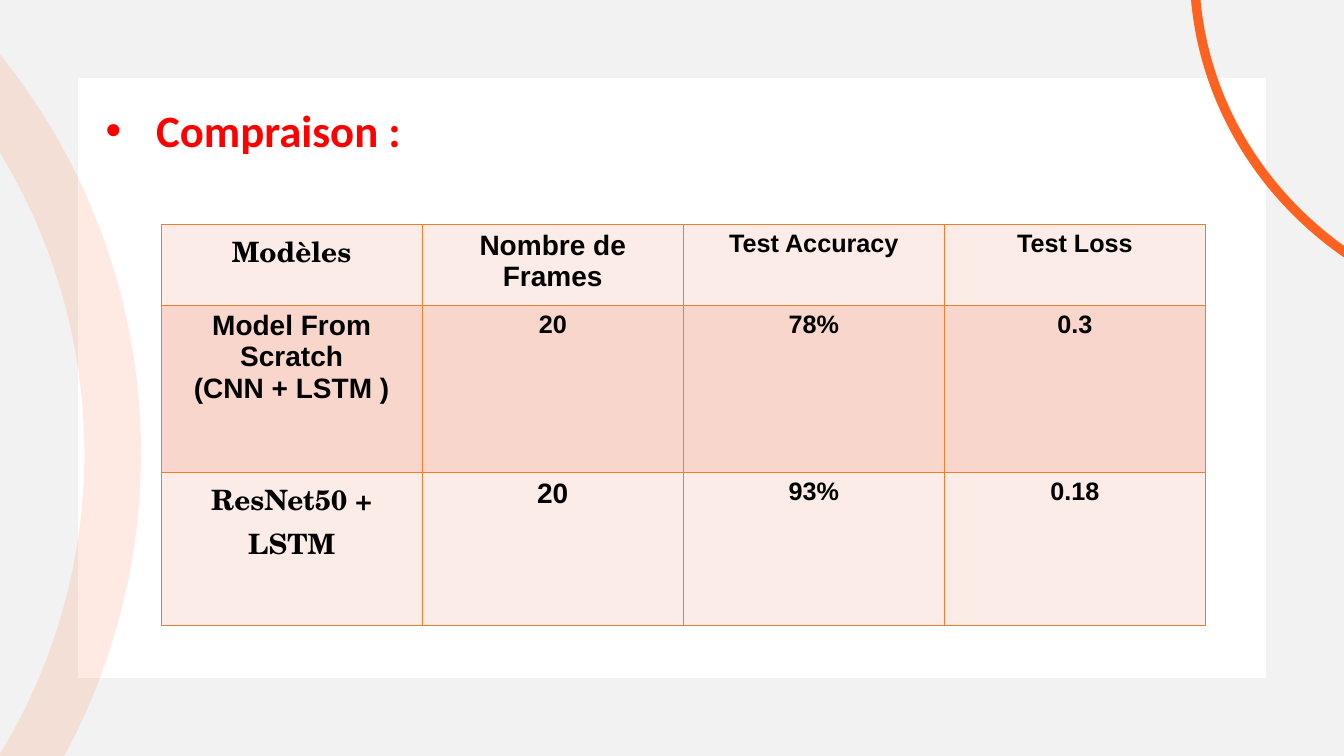
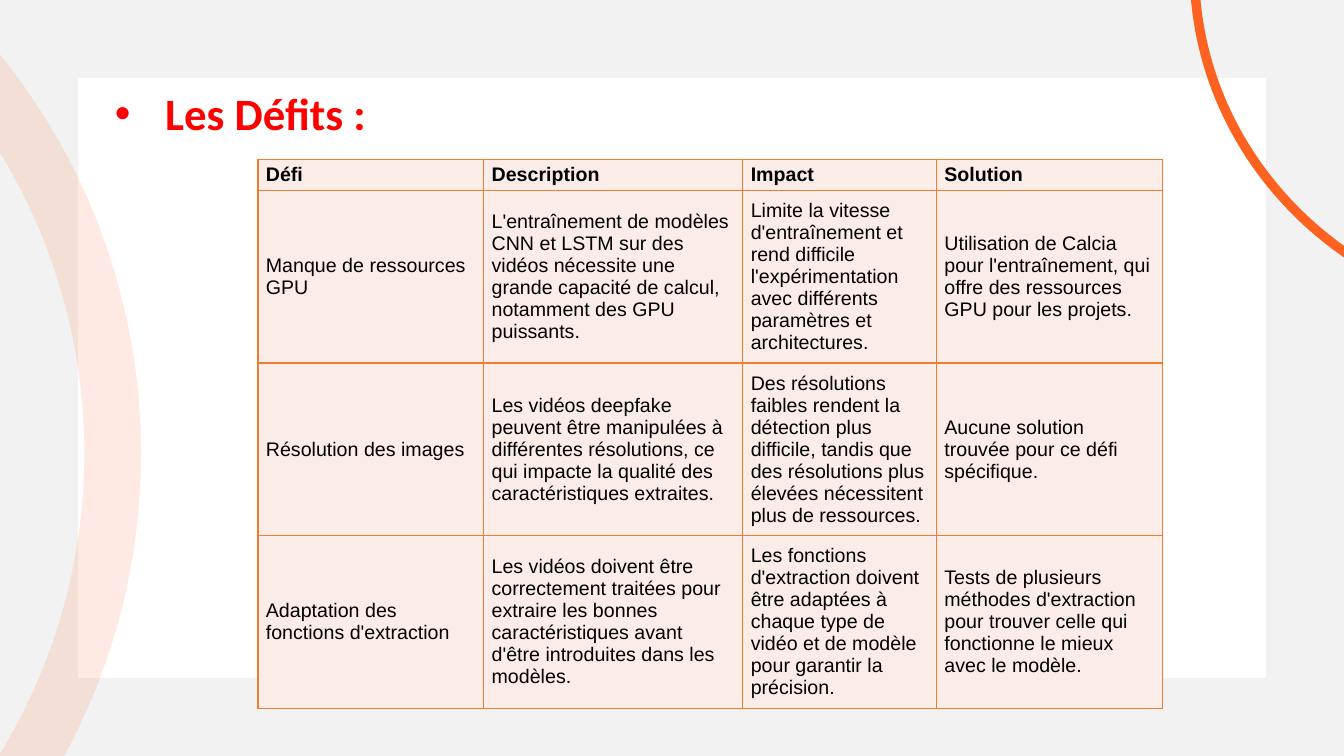
import pptx
import pptx.util
import pptx.dml.color
import pptx.enum.shapes
import pptx.enum.text
import pptx.oxml.ns
from lxml import etree

Cm = pptx.util.Cm
Pt = pptx.util.Pt
RGBColor = pptx.dml.color.RGBColor
SHAPE = pptx.enum.shapes.MSO_SHAPE
ALIGN = pptx.enum.text.PP_ALIGN
ANCHOR = pptx.enum.text.MSO_ANCHOR
qn = pptx.oxml.ns.qn

BLACK = RGBColor(0, 0, 0)
RED = RGBColor(0xFF, 0, 0)
GREY = RGBColor(0xF2, 0xF2, 0xF2)
ORANGE = RGBColor(0xFD, 0x62, 0x20)
BORDER = RGBColor(0xED, 0x7D, 0x31)
PALE = RGBColor(0xFC, 0xEC, 0xE7)
BAND = RGBColor(0xF8, 0xD6, 0xCC)

SLIDE_WIDTH, SLIDE_HEIGHT = Cm(33.87), Cm(19.05)

SERIF = ("TeX Gyre Schola", 20, True)
LARGE = ("Arial", 20, True)
VALUE = ("Arial", 18, True)
HEADING = ("Arial", 14, True)
BODY = ("Arial", 14, False)

COMPARISON = [
    [("Modèles", SERIF), ("Nombre de Frames", LARGE),
     ("Test Accuracy", VALUE), ("Test Loss", VALUE)],
    [("Model From Scratch\n(CNN + LSTM )", LARGE), ("20", VALUE),
     ("78%", VALUE), ("0.3", VALUE)],
    [("ResNet50 + LSTM", SERIF), ("20", LARGE),
     ("93%", VALUE), ("0.18", VALUE)],
]

CHALLENGES = [
    ["Défi", "Description", "Impact", "Solution"],
    ["Manque de ressources GPU",
     "L'entraînement de modèles CNN et LSTM sur des vidéos nécessite une "
     "grande capacité de calcul, notamment des GPU puissants.",
     "Limite la vitesse d'entraînement et rend difficile l'expérimentation "
     "avec différents paramètres et architectures.",
     "Utilisation de Calcia pour l'entraînement, qui offre des ressources "
     "GPU pour les projets."],
    ["Résolution des images",
     "Les vidéos deepfake peuvent être manipulées à différentes résolutions, "
     "ce qui impacte la qualité des caractéristiques extraites.",
     "Des résolutions faibles rendent la détection plus difficile, tandis que "
     "des résolutions plus élevées nécessitent plus de ressources.",
     "Aucune solution trouvée pour ce défi spécifique."],
    ["Adaptation des fonctions d'extraction",
     "Les vidéos doivent être correctement traitées pour extraire les bonnes "
     "caractéristiques avant d'être introduites dans les modèles.",
     "Les fonctions d'extraction doivent être adaptées à chaque type de vidéo "
     "et de modèle pour garantir la précision.",
     "Tests de plusieurs méthodes d'extraction pour trouver celle qui "
     "fonctionne le mieux avec le modèle."],
]


def set_font(paragraph, name, size, bold, color):
    font = paragraph.font
    font.name = name
    font.size = Pt(size)
    font.bold = bold
    font.color.rgb = color


def add_ring(slide, box, width, opacity=None):
    ring = slide.shapes.add_shape(SHAPE.OVAL, *map(Cm, box))
    ring.shadow.inherit = False
    ring.fill.background()
    ring.line.color.rgb = ORANGE
    ring.line.width = Pt(width)
    if opacity is not None:
        color = ring.line.fill.fore_color
        color.rgb = ORANGE
        srgb = next(ring.line._ln.iter(qn("a:srgbClr")))
        etree.SubElement(srgb, qn("a:alpha"), val=str(opacity * 1000))


def add_background(slide):
    frame = slide.shapes.add_shape(SHAPE.FRAME, 0, 0, SLIDE_WIDTH, SLIDE_HEIGHT)
    frame.adjustments[0] = 0.1
    frame.adjustments[0] = 0.103
    frame.shadow.inherit = False
    frame.fill.solid()
    frame.fill.fore_color.rgb = GREY
    frame.line.fill.background()
    add_ring(slide, (-27.69, -3.84, 30.53, 30.53), 40.5, opacity=12)
    add_ring(slide, (30.1, -9.63, 18.75, 17.73), 6.75)


def set_title(slide, text, box):
    title = slide.shapes.title
    title.left, title.top, title.width, title.height = map(Cm, box)
    frame = title.text_frame
    frame.text = text
    frame.word_wrap = True
    frame.auto_size = pptx.enum.text.MSO_AUTO_SIZE.NONE
    frame.vertical_anchor = ANCHOR.TOP
    paragraph = frame.paragraphs[0]
    paragraph.alignment = ALIGN.LEFT
    properties = paragraph._p.get_or_add_pPr()
    properties.set("marL", str(Cm(1.27)))
    properties.set("indent", str(-Cm(1.27)))
    bullet_color = etree.SubElement(properties, qn("a:buClr"))
    etree.SubElement(bullet_color, qn("a:srgbClr"), val=str(RED))
    etree.SubElement(properties, qn("a:buFont"), typeface="Arial")
    etree.SubElement(properties, qn("a:buChar"), char="•")
    set_font(paragraph, "Calibri", 32, True, RED)


def add_borders(cell):
    properties = cell._tc.get_or_add_tcPr()
    for side in ("lnL", "lnR", "lnT", "lnB"):
        line = etree.SubElement(properties, qn(f"a:{side}"), w=str(Pt(1)))
        fill = etree.SubElement(line, qn("a:solidFill"))
        etree.SubElement(fill, qn("a:srgbClr"), val=str(BORDER))


def fill_cell(cell, text, style, fill, alignment, anchor, insets):
    add_borders(cell)
    cell.fill.solid()
    cell.fill.fore_color.rgb = fill
    cell.vertical_anchor = anchor
    cell.margin_left = cell.margin_right = Cm(insets[0])
    cell.margin_top = cell.margin_bottom = Cm(insets[1])
    cell.text = text
    for paragraph in cell.text_frame.paragraphs:
        paragraph.alignment = alignment
        set_font(paragraph, *style, BLACK)


def add_grid(slide, origin, widths, heights, rows, fills, alignment, anchor, insets):
    left, top = origin
    table = slide.shapes.add_table(
        len(heights), len(widths), Cm(left), Cm(top),
        Cm(sum(widths)), Cm(sum(heights))).table
    table.first_row = False
    table.horz_banding = False
    for column, width in zip(table.columns, widths):
        column.width = Cm(width)
    for row, height, entries, fill in zip(table.rows, heights, rows, fills):
        row.height = Cm(height)
        for cell, (text, style) in zip(row.cells, entries):
            fill_cell(cell, text, style, fill, alignment, anchor, insets)


def add_titled_slide(presentation, title, title_box):
    slide = presentation.slides.add_slide(presentation.slide_layouts[5])
    add_background(slide)
    set_title(slide, title, title_box)
    return slide


def add_comparison_slide(presentation):
    slide = add_titled_slide(presentation, "Compraison :", (2.41, 2.46, 14.81, 1.63))
    add_grid(slide, (4.06, 5.66), [6.58] * 4, [2.03, 4.22, 3.86], COMPARISON,
             [PALE, BAND, PALE], ALIGN.CENTER, ANCHOR.TOP, (0.25, 0.13))


def add_challenges_slide(presentation):
    slide = add_titled_slide(presentation, "Les Défits :", (2.64, 2.03, 27.71, 3))
    styles = [HEADING] + [BODY] * 3
    rows = [[(text, style) for text in texts]
            for texts, style in zip(CHALLENGES, styles)]
    add_grid(slide, (6.5, 4.01), [5.69, 6.53, 4.88, 5.69], [0.79] + [4.35] * 3, rows,
             [PALE] * 4, ALIGN.LEFT, ANCHOR.MIDDLE, (0.2, 0.1))


def main():
    presentation = pptx.Presentation()
    presentation.slide_width = SLIDE_WIDTH
    presentation.slide_height = SLIDE_HEIGHT
    add_comparison_slide(presentation)
    add_challenges_slide(presentation)
    presentation.save("out.pptx")


if __name__ == "__main__":
    main()
